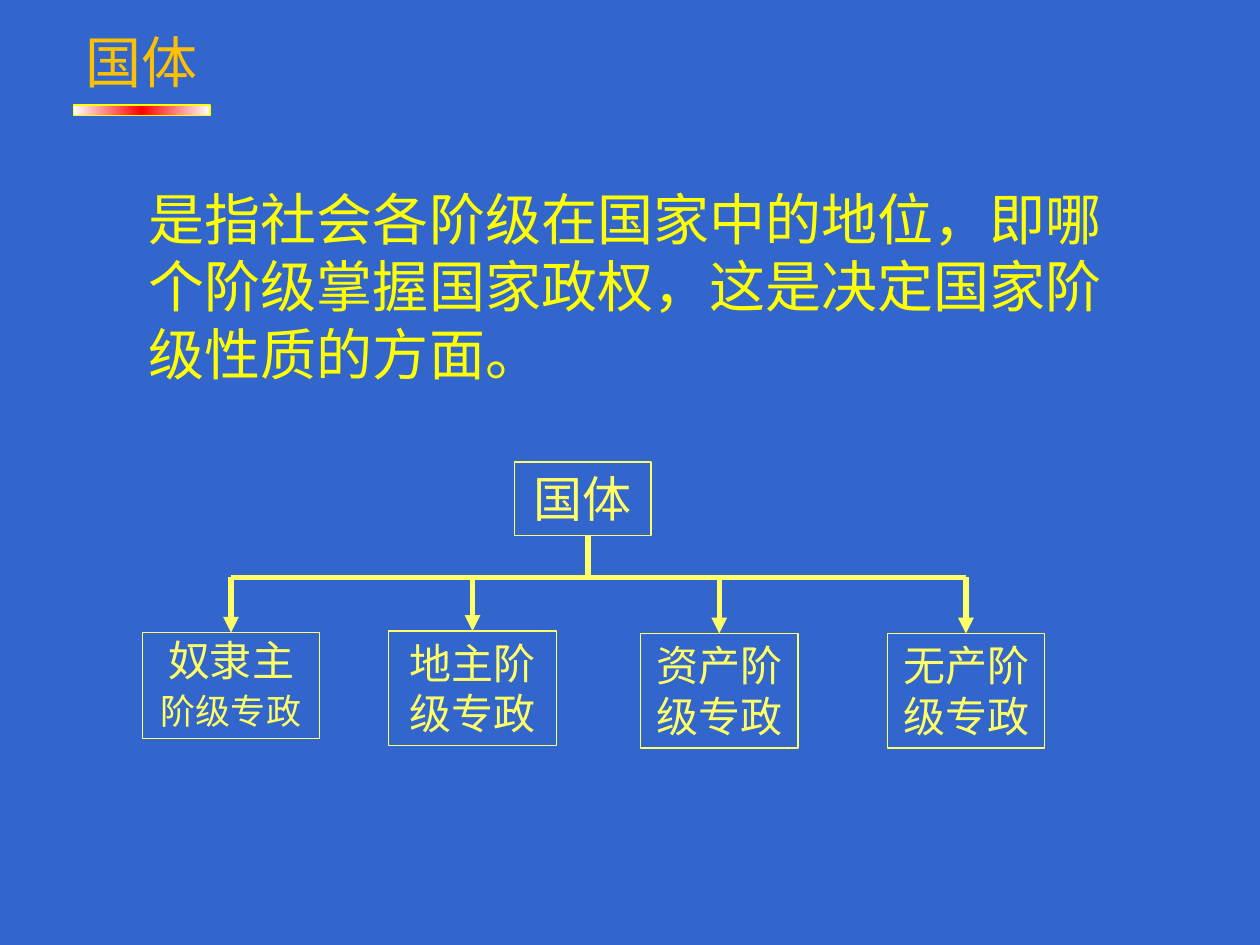
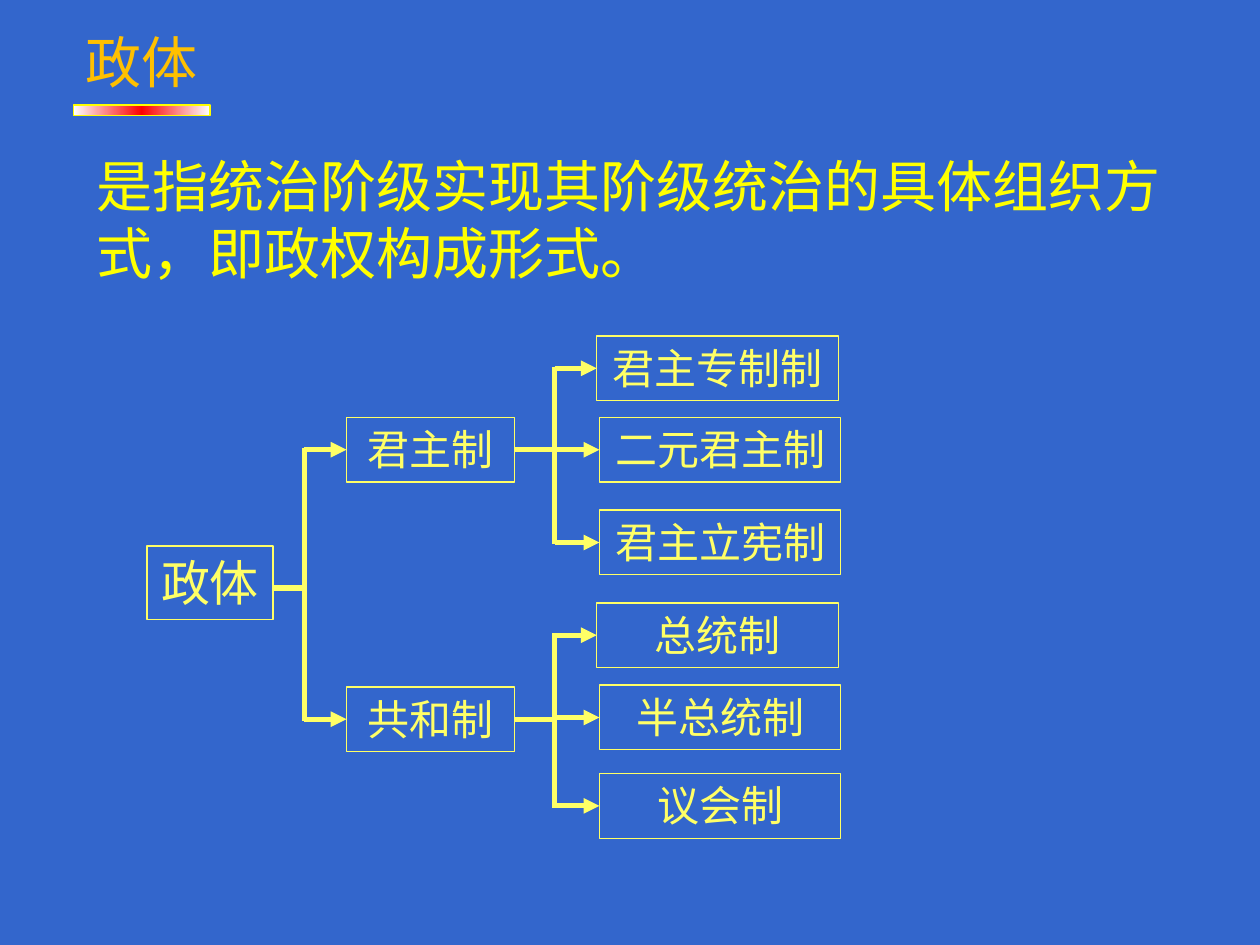
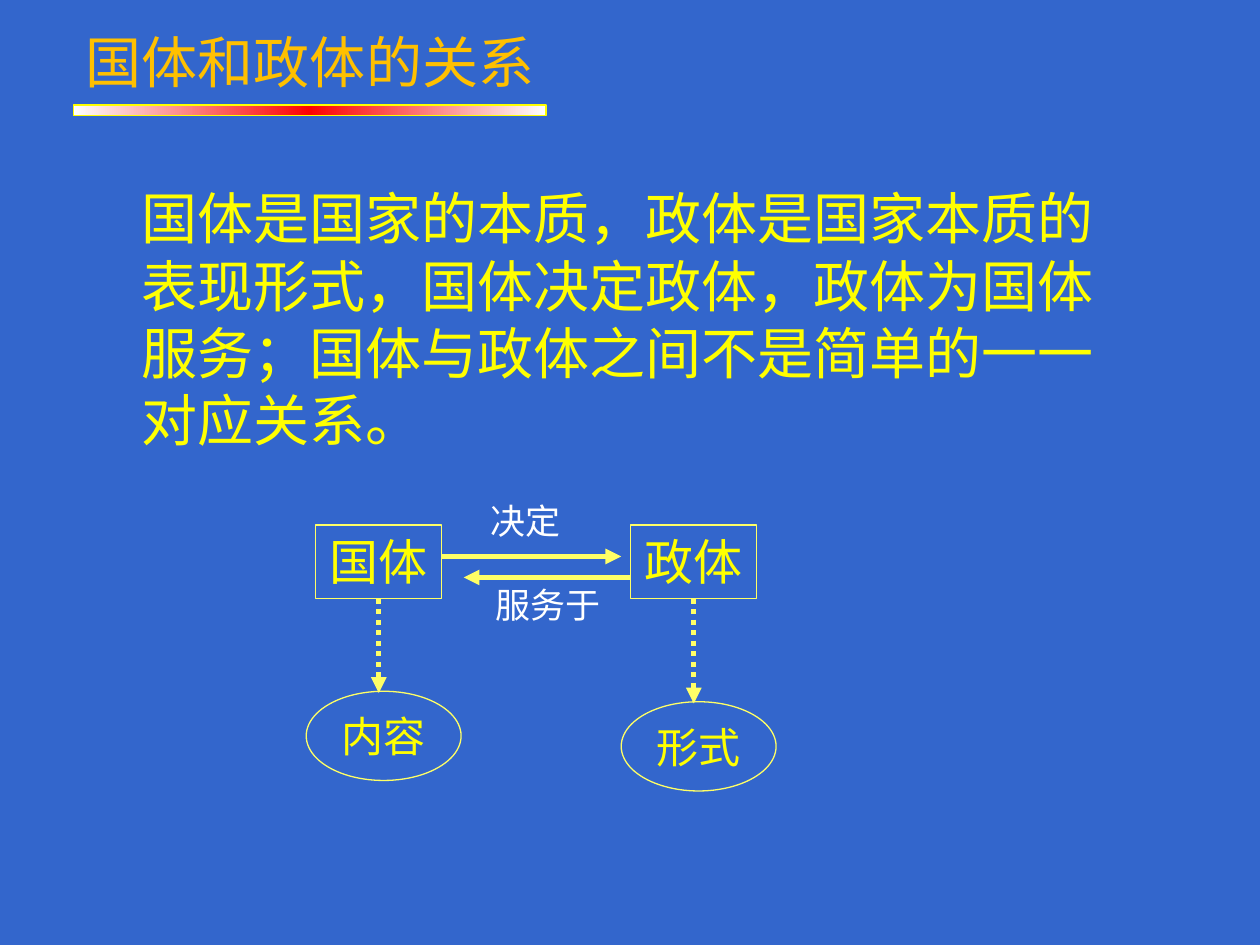
from copy import deepcopy

from lxml import etree
from pptx import Presentation
from pptx import util as u
from pptx.dml.color import RGBColor
from pptx.enum import dml, shapes, text
from pptx.oxml import ns

BLUE = RGBColor(0x33, 0x66, 0xCC)
GOLD = RGBColor(0xFF, 0xC0, 0x00)
YELLOW = RGBColor(0xFF, 0xFF, 0x00)
PALE_YELLOW = RGBColor(0xFF, 0xFF, 0x66)
RED = RGBColor(0xFF, 0x00, 0x00)
WHITE = RGBColor(0xFF, 0xFF, 0xFF)

SANS = "Noto Sans CJK SC"
SERIF = "Times New Roman"
LINE_FACTOR = 1.2
CENTER = text.PP_ALIGN.CENTER
LEFT = text.PP_ALIGN.LEFT
TOP_SIDE, BOTTOM_SIDE, LEFT_SIDE, RIGHT_SIDE = 0, 2, 1, 3

FRAME = {
    "margin_left": u.Pt(7.2),
    "margin_right": u.Pt(7.2),
    "margin_top": u.Pt(3.6),
    "margin_bottom": u.Pt(3.6),
    "word_wrap": True,
    "vertical_anchor": text.MSO_ANCHOR.TOP,
}


def apply(target, values):
    for name, value in values.items():
        setattr(target, name, value)


def write(shape, runs, font, color, align=CENTER, **frame):
    apply(shape.text_frame, {**FRAME, **frame})
    paragraph = shape.text_frame.paragraphs[0]
    mean_size = sum(size for _, size in runs) / len(runs)
    apply(paragraph, {"alignment": align, "line_spacing": u.Pt(mean_size * LINE_FACTOR)})
    for words, size in runs:
        run = paragraph.add_run()
        run.text = words
        apply(run.font, {"name": font, "size": u.Pt(size)})
        run.font.color.rgb = color


def add_text(slide, place, words, size, font, color, align=LEFT):
    box = slide.shapes.add_textbox(*map(u.Pt, place))
    write(box, [(words, size)], font, color, align)


def add_outlined(slide, kind, place, line_color):
    shape = slide.shapes.add_shape(kind, *map(u.Pt, place))
    shape.shadow.inherit = False
    shape.fill.background()
    shape.line.color.rgb = line_color
    shape.line.width = u.Pt(0.75)
    return shape


def add_box(slide, place, runs, font=SERIF, color=PALE_YELLOW):
    box = add_outlined(slide, shapes.MSO_SHAPE.RECTANGLE, place, PALE_YELLOW)
    write(box, runs, font, color)
    return box


def add_ellipse(slide, place, words):
    ellipse = add_outlined(slide, shapes.MSO_SHAPE.OVAL, place, PALE_YELLOW)
    write(ellipse, [(words, 24)], SANS, YELLOW,
          word_wrap=False, vertical_anchor=text.MSO_ANCHOR.MIDDLE)


def add_line(slide, start, end, arrow=False, dash=None, begin=None, finish=None):
    line = slide.shapes.add_connector(
        shapes.MSO_CONNECTOR.STRAIGHT, *map(u.Pt, (*start, *end)))
    if begin:
        line.begin_connect(*begin)
    if finish:
        line.end_connect(*finish)
    line.line.color.rgb = PALE_YELLOW
    apply(line.line, {"width": u.Pt(3), "dash_style": dash})
    properties = line.element.spPr
    if arrow:
        etree.SubElement(properties.find(ns.qn("a:ln")), ns.qn("a:tailEnd"), type="triangle")
    etree.SubElement(properties, ns.qn("a:effectLst"))


def add_branch(slide, trunk_x, children):
    middles = [(child.top + child.height / 2) / u.Pt(1) for child in children]
    add_line(slide, (trunk_x, middles[0] - 1), (trunk_x, middles[-1] + 1))
    for child, middle in zip(children, middles):
        add_line(slide, (trunk_x, middle), (child.left.pt, middle),
                 arrow=True, finish=(child, LEFT_SIDE))


def add_title_bar(slide, width):
    bar = add_outlined(slide, shapes.MSO_SHAPE.RECTANGLE, (42, 60, width, 6), YELLOW)
    bar.fill.gradient()
    bar.fill.gradient_angle = 0
    stop_list = bar.element.spPr.find(f".//{ns.qn('a:gsLst')}")
    stop_list.insert(1, deepcopy(stop_list[0]))
    for stop, position, color in zip(bar.fill.gradient_stops, (0, 0.5, 1), (WHITE, RED, WHITE)):
        stop.position = position
        stop.color.rgb = color


def add_topic_slide(presentation, title, bar_width, body_place, body):
    slide = presentation.slides.add_slide(presentation.slide_layouts[6])
    slide.background.fill.solid()
    slide.background.fill.fore_color.rgb = BLUE
    add_title_bar(slide, bar_width)
    add_text(slide, (42, 12, bar_width + 6, 46), title, 32, SANS, GOLD)
    add_text(slide, body_place, body, 32, SANS, YELLOW)
    return slide


def build_state_nature(presentation):
    slide = add_topic_slide(
        presentation, "国体", 78, (78, 102, 564, 124),
        "是指社会各阶级在国家中的地位，即哪个阶级掌握国家政权，这是决定国家阶级性质的方面。")
    add_box(slide, (294, 264, 78, 42), [("国体", 28)])
    add_line(slide, (336, 306), (336, 330))
    add_line(slide, (132, 330), (552, 330))
    classes = [
        (132, 361.5, 101, 60.5, [("奴隶主", 24), ("阶级专政", 20)]),
        (270, 360.5, 96, 65.5, [("地主阶级专政", 24)]),
        (411, 362, 90, 65.5, [("资产阶级专政", 24)]),
        (552, 362, 90, 65.5, [("无产阶级专政", 24)]),
    ]
    for center, top, width, height, runs in classes:
        box = add_box(slide, (center - width / 2, top, width, height), runs)
        add_line(slide, (center, 330), (center, top), arrow=True, finish=(box, TOP_SIDE))


def build_government_form(presentation):
    slide = add_topic_slide(
        presentation, "政体", 78, (48, 83, 629, 85),
        "是指统治阶级实现其阶级统治的具体组织方式，即政权构成形式。")
    add_box(slide, (84, 312, 72, 42), [("政体", 28)])
    add_line(slide, (156, 336), (174, 336))
    systems = [
        ("君主制", 238.5, [("君主专制制", 192), ("二元君主制", 238.5), ("君主立宪制", 291.5)]),
        ("共和制", 392.5, [("总统制", 344.5), ("半总统制", 391.5), ("议会制", 442)]),
    ]
    parents = []
    for name, top, forms in systems:
        parent = add_box(slide, (198, top, 96, 37), [(name, 24)])
        parents.append(parent)
        middle = top + 18.5
        add_line(slide, (294, middle), (318, middle), begin=(parent, RIGHT_SIDE))
        children = [
            add_box(slide, (341 if index == 0 else 342.5, form_top, 138, 37), [(form, 24)])
            for index, (form, form_top) in enumerate(forms)
        ]
        add_branch(slide, 317, children)
    add_branch(slide, 174, parents)


def build_relation(presentation):
    slide = add_topic_slide(
        presentation, "国体和政体的关系", 270, (73.5, 101.5, 564, 163),
        "国体是国家的本质，政体是国家本质的表现形式，国体决定政体，政体为国体服务；"
        "国体与政体之间不是简单的一一对应关系。")
    for name, left, aspect, aspect_top in (
        ("国体", 180.5, "内容", 395), ("政体", 360.5, "形式", 401),
    ):
        box = add_box(slide, (left, 300, 72, 42), [(name, 28)], SANS, YELLOW)
        add_line(slide, (left + 36, 342), (left + 36, aspect_top + 1), arrow=True,
                 dash=dml.MSO_LINE.ROUND_DOT, begin=(box, BOTTOM_SIDE))
        add_ellipse(slide, (left - 5.5, aspect_top, 88.5, 51), aspect)
    add_line(slide, (252.5, 318), (355, 318), arrow=True)
    add_line(slide, (360.5, 330), (265, 330), arrow=True)
    for label, left, top in (("决定", 252.5, 282), ("服务于", 265, 330)):
        add_text(slide, (left, top, 96, 31), label, 20, SERIF, WHITE, CENTER)


def main():
    presentation = Presentation()
    apply(presentation, {"slide_width": u.Pt(720), "slide_height": u.Pt(540)})
    build_state_nature(presentation)
    build_government_form(presentation)
    build_relation(presentation)
    presentation.save("out.pptx")


if __name__ == "__main__":
    main()
